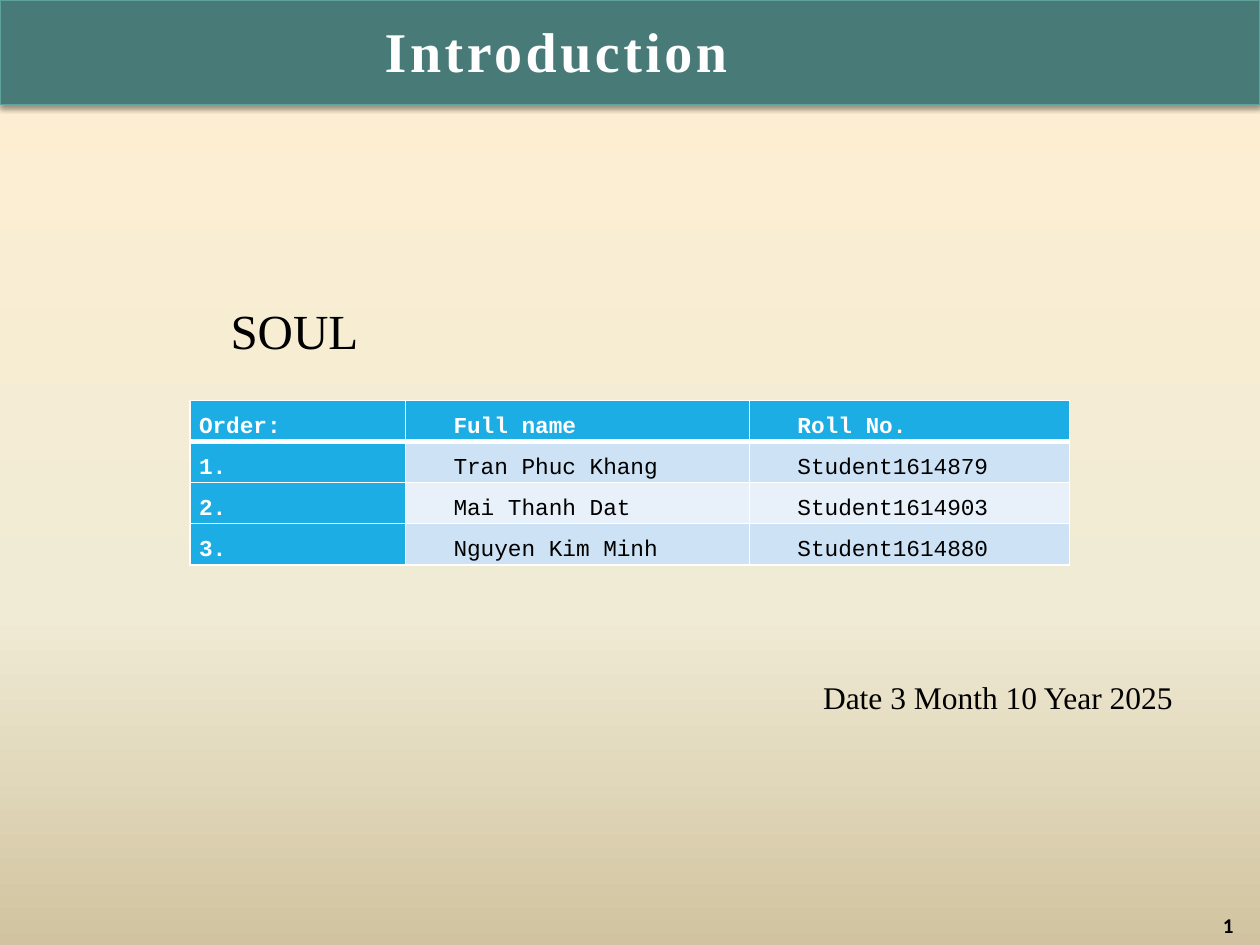
"""Builds the introduction slide with its student table."""
from dataclasses import dataclass

import lxml.etree
import pptx
import pptx.dml.color
import pptx.enum.shapes
import pptx.enum.text
import pptx.oxml
import pptx.oxml.ns
import pptx.util

Inches = pptx.util.Inches
Pt = pptx.util.Pt
RGB = pptx.dml.color.RGBColor.from_string
ALIGN = pptx.enum.text.PP_ALIGN
MIDDLE = pptx.enum.text.MSO_ANCHOR.MIDDLE
qn = pptx.oxml.ns.qn


@dataclass(frozen=True)
class Theme:
    """Colours, fonts and type sizes of the slide."""
    background: tuple = ((0, "FFEFD1"), (65, "F0EBD5"), (100, "D1C39F"))
    bar: str = "487B78"
    bar_line: str = "5EA19D"
    accent: str = "1CADE4"
    bands: tuple = ("CDE3F5", "E8F1FA")
    white: str = "FFFFFF"
    black: str = "000000"
    serif: str = "Times New Roman"
    mono: str = "Courier New"
    sans: str = "Calibri"
    title: int = 32
    team: int = 28
    date: int = 18
    cell: int = 13
    number: int = 12


T = Theme()
ROWS = (
    ("Order:", "Full name", "Roll No."),
    ("1.", "Tran Phuc Khang", "Student1614879"),
    ("2.", "Mai Thanh Dat", "Student1614903"),
    ("3.", "Nguyen Kim Minh", "Student1614880"),
)


def add_child(parent, tag, **attrs):
    """Append a DrawingML child with the given attributes."""
    values = {key: str(value) for key, value in attrs.items()}
    return lxml.etree.SubElement(parent, qn(tag), values)


def set_background(s):
    """Fill the slide with the vertical gradient."""
    fill = s.background.fill
    fill.gradient()
    fill.gradient_angle = 270
    stops = next(s._element.iter(qn("a:gsLst")))
    for stop in list(stops):
        stops.remove(stop)
    for position, color in T.background:
        stop = add_child(stops, "a:gs", pos=position * 1000)
        add_child(stop, "a:srgbClr", val=color)


def add_bar(s):
    """Add the title bar with its soft shadow."""
    sp = s.shapes.add_shape(pptx.enum.shapes.MSO_SHAPE.RECTANGLE,
                            0, 0, Inches(10), Inches(0.83))
    sp.fill.solid()
    sp.fill.fore_color.rgb = RGB(T.bar)
    sp.line.color.rgb = RGB(T.bar_line)
    sp.line.width = Pt(0.75)
    sp.shadow.inherit = False
    effects = sp._element.spPr.find(qn("a:effectLst"))
    shadow = add_child(effects, "a:outerShdw", blurRad=Pt(3.1), dist=Pt(1.6),
                       dir=90 * 60000, rotWithShape=0)
    color = add_child(shadow, "a:srgbClr", val=T.black)
    add_child(color, "a:alpha", val=38000)


def add_run(p, text, font, size, color, bold=False):
    """Add one formatted run to a paragraph."""
    r = p.add_run()
    r.text = text
    r.font.name = font
    r.font.size = Pt(size)
    r.font.bold = bold
    r.font.color.rgb = RGB(color)
    return r


def add_text(s, box, text, align, font, size, color, bold=False):
    """Add a one-line text box without insets."""
    tf = s.shapes.add_textbox(*map(Inches, box)).text_frame
    tf.word_wrap = True
    tf.vertical_anchor = MIDDLE
    tf.margin_left = tf.margin_right = tf.margin_top = tf.margin_bottom = 0
    p = tf.paragraphs[0]
    p.alignment = align
    return add_run(p, text, font, size, color, bold)


def set_borders(cell, top, bottom):
    """Draw white borders around a cell, widths in points."""
    tc_pr = cell._tc.get_or_add_tcPr()
    for side, width in (("L", 1), ("R", 1), ("T", top), ("B", bottom)):
        ln = add_child(tc_pr, f"a:ln{side}", w=Pt(width))
        add_child(add_child(ln, "a:solidFill"), "a:srgbClr", val=T.white)


def fill_cell(cell, row, col, text):
    """Write and format one table cell."""
    head = row == 0 or col == 0
    set_borders(cell, top=3 if row == 1 else 1, bottom=3 if row == 0 else 1)
    cell.fill.solid()
    cell.fill.fore_color.rgb = RGB(T.accent if head else T.bands[(row - 1) % 2])
    cell.margin_left = cell.margin_right = Inches(0.07)
    cell.margin_top = cell.margin_bottom = 0
    cell.vertical_anchor = MIDDLE
    p = cell.text_frame.paragraphs[0]
    p.alignment = ALIGN.JUSTIFY
    p.line_spacing = 1.5
    if col:
        p._p.get_or_add_pPr().set("marL", str(Inches(0.31)))
    add_run(p, text, T.mono, T.cell, T.white if head else T.black, head)


def add_students(s):
    """Add the table of students."""
    widths = (1.71, 2.73, 2.54)
    height = 0.325
    table = s.shapes.add_table(len(ROWS), len(widths), Inches(1.51), Inches(3.18),
                               Inches(sum(widths)), Inches(height * len(ROWS))).table
    for column, width in zip(table.columns, widths):
        column.width = Inches(width)
    for i, texts in enumerate(ROWS):
        table.rows[i].height = Inches(height)
        for j, text in enumerate(texts):
            fill_cell(table.cell(i, j), i, j, text)


def main():
    """Build and save the slide."""
    prs = pptx.Presentation()
    prs.slide_width, prs.slide_height = Inches(10), Inches(7.5)
    s = prs.slides.add_slide(prs.slide_layouts[6])
    set_background(s)
    add_bar(s)
    r = add_text(s, (0.25, 0.17, 8.33, 0.45), "Introduction", ALIGN.CENTER,
                 T.serif, T.title, T.white, True)
    r.font._element.set("spc", "200")
    add_text(s, (0.12, 7.25, 9.67, 0.18), "1", ALIGN.RIGHT,
             T.sans, T.number, T.black, True)
    add_text(s, (1.83, 2.4, 4, 0.43), "SOUL", ALIGN.LEFT,
             T.serif, T.team, T.black)
    add_text(s, (5.31, 5.39, 4, 0.28), "Date 3 Month 10 Year 2025", ALIGN.RIGHT,
             T.serif, T.date, T.black)
    add_students(s)
    prs.save("out.pptx")


if __name__ == "__main__":
    main()
